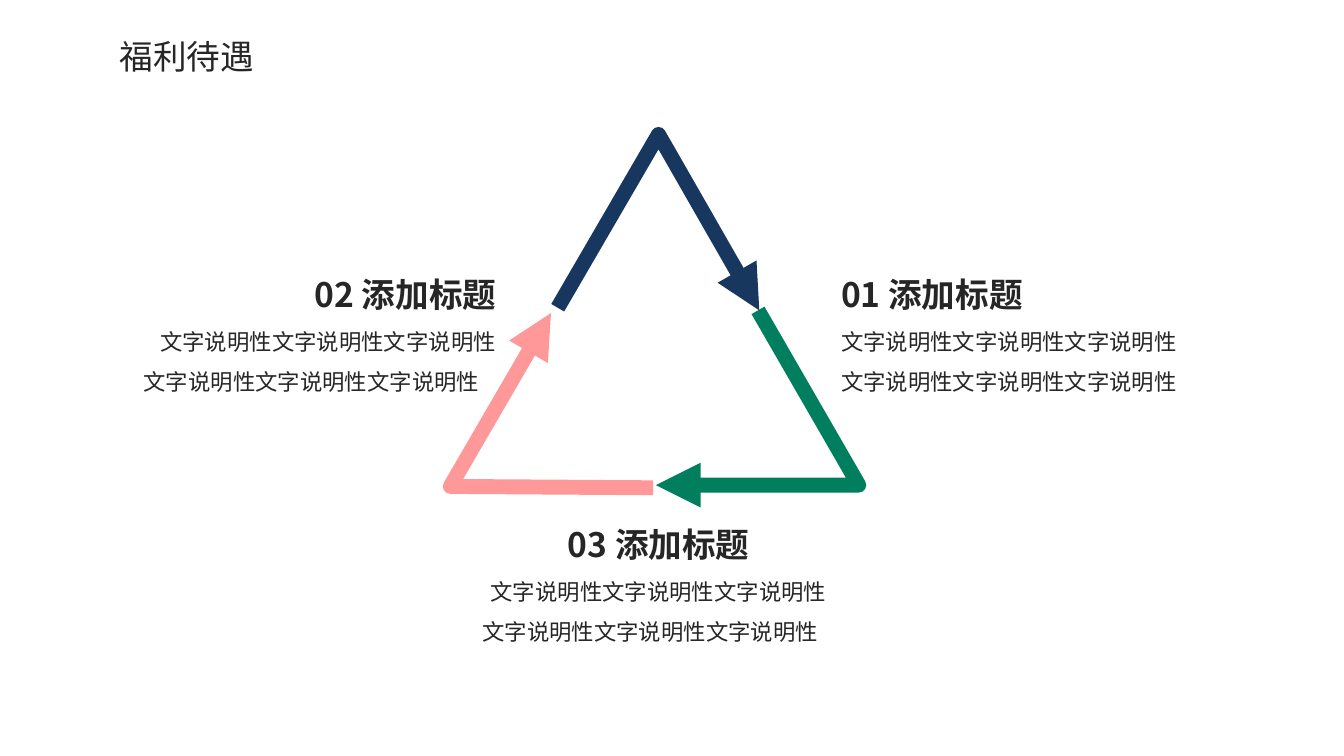
from pptx import Presentation
from pptx.dml.color import RGBColor
from pptx.enum.text import MSO_AUTO_SIZE, PP_ALIGN
from pptx.oxml.ns import qn
from pptx.util import Inches, Pt
from lxml import etree

LEFT, CENTER, RIGHT = PP_ALIGN.LEFT, PP_ALIGN.CENTER, PP_ALIGN.RIGHT
GROW = MSO_AUTO_SIZE.SHAPE_TO_FIT_TEXT
FONT = "Noto Sans CJK SC"
COLORS = {"text": "262626", "navy": "17375E", "green": "007E5D", "pink": "FF9999"}
BODY = "文字说明性文字说明性文字说明性"


def style_run(r, size, bold=False):
    r.font.name = FONT
    r.font.size = Pt(size)
    r.font.bold = bold
    r.font.color.rgb = RGBColor.from_string(COLORS["text"])
    etree.SubElement(r.font._element, qn("a:ea"), typeface=FONT)


# Widescreen 16:9 slide
prs = Presentation()
prs.slide_width, prs.slide_height = Inches(10), Inches(10 * 9 / 16)
s = prs.slides.add_slide(prs.slide_layouts[6])

# Slide title
tf = s.shapes.add_textbox(Inches(0.79), Inches(0.22), Inches(1.21), Inches(0.4)).text_frame
tf.word_wrap = False
tf.auto_size = GROW
tf.text = "福利待遇"
style_run(tf.paragraphs[0].runs[0], 18)

# Triangle of three bent arrows, running clockwise
arrows = [
    ("navy", [(4.15, 2.29), (4.9, 1), (5.65, 2.31)]),
    ("green", [(5.64, 2.31), (6.39, 3.61), (4.88, 3.61)]),
    ("pink", [(4.86, 3.63), (3.35, 3.62), (4.1, 2.33)]),
]
for color, points in arrows:
    start, *rest = [(Inches(x), Inches(y)) for x, y in points]
    builder = s.shapes.build_freeform(*start)
    builder.add_line_segments(rest, close=False)
    sp = builder.convert_to_shape()
    sp.shadow.inherit = False
    sp.fill.background()
    sp.line.color.rgb = RGBColor.from_string(COLORS[color])
    sp.line.width = Pt(8)
    ln = sp.line._get_or_add_ln()
    etree.SubElement(ln, qn("a:round"))
    etree.SubElement(ln, qn("a:tailEnd"), type="triangle")

# Captions: the last line always stays left-aligned
captions = [
    ("01", 6.16, 1.84, LEFT),
    ("02", 0.97, 1.84, RIGHT),
    ("03", 3.49, 3.7, CENTER),
]
for number, x, y, align in captions:
    tf = s.shapes.add_textbox(Inches(x), Inches(y), Inches(2.82), Inches(1.46)).text_frame
    tf.word_wrap = True
    tf.auto_size = GROW
    tf.text = "\n".join([f"{number} 添加标题", BODY, BODY])
    for i, p in enumerate(tf.paragraphs):
        p.alignment = align if i < 2 else LEFT
        p.line_spacing = 1.5
        style_run(p.runs[0], 18 if i == 0 else 12, bold=i == 0)

prs.save("out.pptx")
